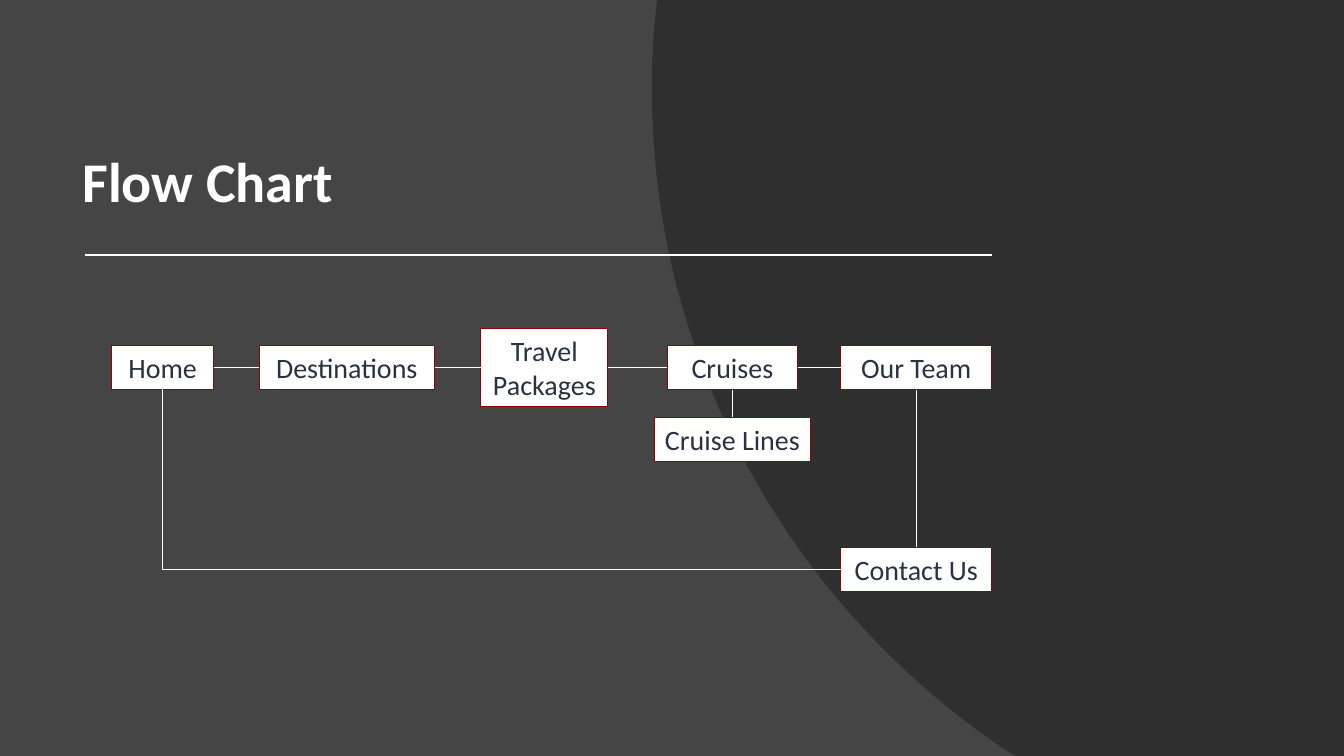
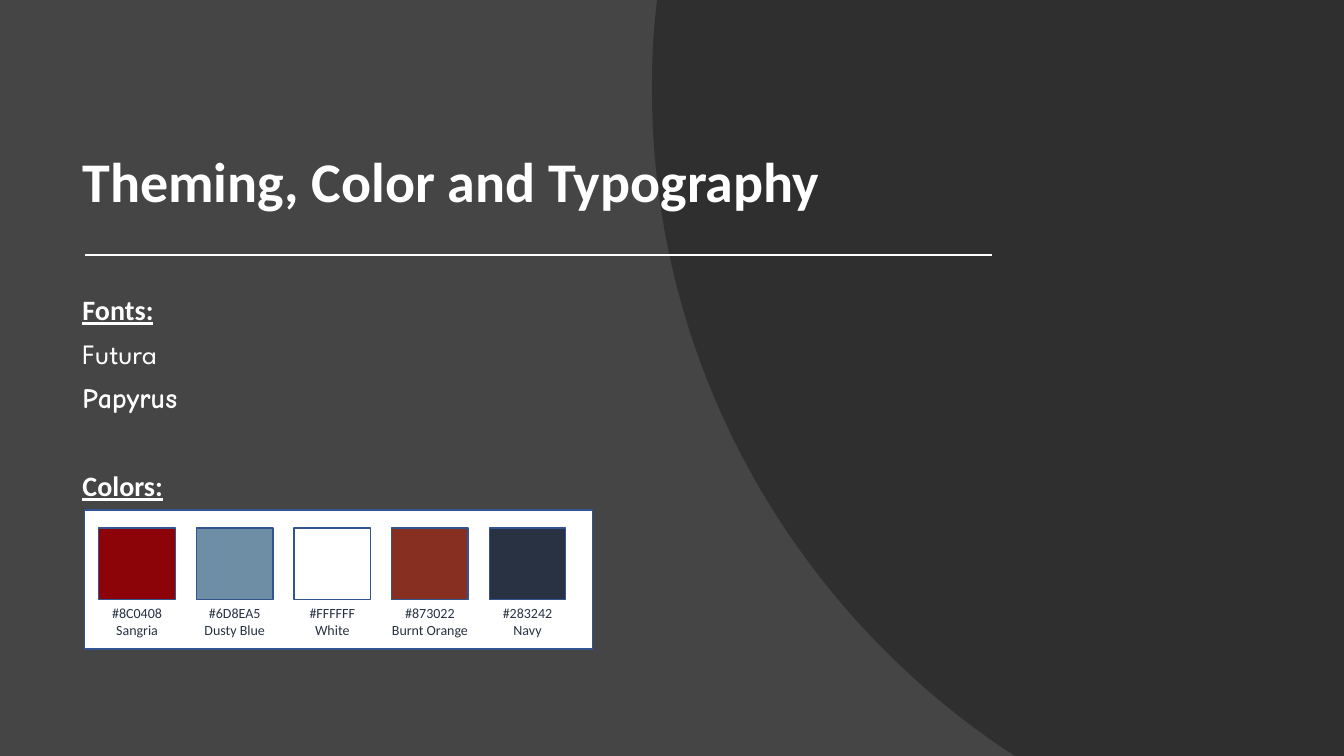
from lxml.etree import SubElement
from pptx import Presentation
from pptx.dml.color import RGBColor
from pptx.enum.shapes import MSO_CONNECTOR as CONNECTOR, MSO_SHAPE as SHAPE
from pptx.enum.text import MSO_ANCHOR as ANCHOR, PP_ALIGN as ALIGN
from pptx.oxml.ns import qn
from pptx.util import Cm, Pt

WHITE = RGBColor(0xFF, 0xFF, 0xFF)
CHARCOAL = RGBColor(0x45, 0x45, 0x45)
SHADE = RGBColor(0x26, 0x26, 0x26)
SANGRIA = RGBColor(0x8C, 0x04, 0x08)
DUSTY_BLUE = RGBColor(0x6D, 0x8E, 0xA5)
BURNT_ORANGE = RGBColor(0x87, 0x30, 0x22)
NAVY = RGBColor(0x28, 0x32, 0x42)
OUTLINE = RGBColor(0x32, 0x54, 0x91)

FONT = "Calibri"
WIDTH, HEIGHT = 33.87, 19.05
TOP, LEFT, BOTTOM, RIGHT = range(4)

TITLE_FORMAT = {"name": FONT, "size": Pt(40), "bold": True}
HEADING_FORMAT = {"name": FONT, "size": Pt(20), "bold": True, "underline": True}
NODE_FORMAT = {"name": FONT, "size": Pt(20)}
LABEL_FORMAT = {"name": FONT, "size": Pt(10)}

ARC_CURVES = [
    ((25.27, 18.85), (19.94, 15.24), (16.43, 9.14), (16.43, 2.24)),
    ((16.43, 2.24), (16.43, 1.55), (16.46, 0.86), (16.54, 0.18)),
]

ROW = 9.26
NODES = {
    "Home": (4.1, ROW, 2.57, 1.11),
    "Destinations": (8.74, ROW, 4.42, 1.11),
    "Travel Packages": (13.72, ROW, 3.2, 1.97),
    "Cruises": (18.46, ROW, 3.28, 1.11),
    "Our Team": (23.09, ROW, 3.81, 1.11),
    "Cruise Lines": (18.46, 11.07, 3.94, 1.11),
    "Contact Us": (23.09, 14.35, 3.81, 1.11),
}
LINKS = [
    ("Home", RIGHT, "Destinations", LEFT),
    ("Destinations", RIGHT, "Travel Packages", LEFT),
    ("Travel Packages", RIGHT, "Cruises", LEFT),
    ("Cruises", RIGHT, "Our Team", LEFT),
    ("Cruises", BOTTOM, "Cruise Lines", TOP),
    ("Contact Us", TOP, "Our Team", BOTTOM),
]

SWATCHES = [
    (SANGRIA, "Sangria"),
    (DUSTY_BLUE, "Dusty Blue"),
    (WHITE, "White"),
    (BURNT_ORANGE, "Burnt Orange"),
    (NAVY, "Navy"),
]
BODY_LINES = [
    ("Fonts:", HEADING_FORMAT, 0),
    ("Futura", {"name": "League Spartan", "size": Pt(20)}, 10),
    ("Papyrus", {"name": "Comic Neue", "size": Pt(20), "bold": True}, 10),
    ("Colors:", HEADING_FORMAT, 41),
]


def lengths(*values):
    return [Cm(value) for value in values]


def write(paragraph, text, font_format, color, **layout):
    run = paragraph.add_run()
    run.text = text
    run.font.color.rgb = color
    for name, value in font_format.items():
        setattr(run.font, name, value)
    for name, value in layout.items():
        setattr(paragraph, name, value)


def add_text(slide, box, lines, color, anchor=ANCHOR.TOP, **layout):
    frame = slide.shapes.add_textbox(*lengths(*box)).text_frame
    frame.word_wrap = True
    frame.vertical_anchor = anchor
    for index, (text, font_format, before) in enumerate(lines):
        paragraph = frame.add_paragraph() if index else frame.paragraphs[0]
        write(paragraph, text, font_format, color, space_before=Pt(before), **layout)


def add_box(slide, box, fill, line, line_width):
    shape = slide.shapes.add_shape(SHAPE.RECTANGLE, *lengths(*box))
    shape.shadow.inherit = False
    shape.fill.solid()
    shape.fill.fore_color.rgb = fill
    shape.line.color.rgb = line
    shape.line.width = Pt(line_width)
    return shape


def add_node(slide, text, center_x, center_y, width, height):
    box = (center_x - width / 2, center_y - height / 2, width, height)
    shape = add_box(slide, box, WHITE, SANGRIA, 0.75)
    frame = shape.text_frame
    frame.word_wrap = True
    frame.vertical_anchor = ANCHOR.MIDDLE
    frame.margin_left = frame.margin_right = Cm(0.1)
    write(frame.paragraphs[0], text, NODE_FORMAT, NAVY, alignment=ALIGN.CENTER)
    return shape


def add_line(slide, ends=(0, 0, 0, 0), width=0.5, kind=CONNECTOR.STRAIGHT):
    connector = slide.shapes.add_connector(kind, *lengths(*ends))
    connector.line.color.rgb = WHITE
    connector.line.width = Pt(width)
    SubElement(connector._element.spPr, qn("a:effectLst"))
    return connector


def link(slide, begin, begin_side, end, end_side, kind=CONNECTOR.STRAIGHT):
    connector = add_line(slide, kind=kind)
    connector.begin_connect(begin, begin_side)
    connector.end_connect(end, end_side)
    return connector


def curve_points(start, control_1, control_2, end, steps=40):
    for step in range(steps + 1):
        t = step / steps
        weights = ((1 - t) ** 3, 3 * t * (1 - t) ** 2, 3 * t**2 * (1 - t), t**3)
        yield tuple(
            Cm(sum(weight * value for weight, value in zip(weights, values)))
            for values in zip(start, control_1, control_2, end)
        )


def add_arc(slide):
    builder = slide.shapes.build_freeform(Cm(16.56), 0)
    corners = [(WIDTH, 0), (WIDTH, HEIGHT), (25.58, HEIGHT)]
    points = [tuple(lengths(*corner)) for corner in corners]
    for curve in ARC_CURVES:
        points.extend(curve_points(*curve))
    builder.add_line_segments(points, close=True)
    arc = builder.convert_to_shape()
    arc.shadow.inherit = False
    arc.fill.solid()
    arc.fill.fore_color.rgb = SHADE
    color = arc._element.spPr.find(qn("a:solidFill"))[0]
    SubElement(color, qn("a:alpha"), val="70000")
    arc.line.fill.background()


def add_slide(presentation, title):
    slide = presentation.slides.add_slide(presentation.slide_layouts[6])
    slide.background.fill.solid()
    slide.background.fill.fore_color.rgb = CHARCOAL
    add_arc(slide)
    add_text(slide, (1.83, 1.02, 25.04, 4.52), [(title, TITLE_FORMAT, 0)], WHITE,
             ANCHOR.BOTTOM, line_spacing=0.9)
    add_line(slide, (2.13, 6.43, 24.99, 6.43), 1.5)
    return slide


def add_flow_chart(slide):
    nodes = {text: add_node(slide, text, *box) for text, box in NODES.items()}
    for begin, begin_side, end, end_side in LINKS:
        link(slide, nodes[begin], begin_side, nodes[end], end_side)
    bent = link(slide, nodes["Contact Us"], LEFT, nodes["Home"], BOTTOM, CONNECTOR.ELBOW)
    bent._element.spPr.find(qn("a:prstGeom")).set("prst", "bentConnector2")


def add_palette(slide):
    add_box(slide, (2.13, 12.85, 12.8, 3.51), WHITE, OUTLINE, 1)
    size, step, label_width = 1.93, 2.46, 2.54
    for index, (color, name) in enumerate(SWATCHES):
        left = 2.49 + index * step
        add_box(slide, (left, 13.31, size, 1.8), color, OUTLINE, 1)
        label_left = left + (size - label_width) / 2
        lines = [(f"#{color}", LABEL_FORMAT, 0), (name, LABEL_FORMAT, 0)]
        add_text(slide, (label_left, 15.11, label_width, 1.12), lines, NAVY,
                 alignment=ALIGN.CENTER)


def main():
    presentation = Presentation()
    presentation.slide_width, presentation.slide_height = lengths(WIDTH, HEIGHT)

    add_flow_chart(add_slide(presentation, "Flow Chart"))

    theming = add_slide(presentation, "Theming, Color and Typography")
    add_text(theming, (1.83, 7.34, 25.04, 9.25), BODY_LINES, WHITE, line_spacing=0.9)
    add_palette(theming)

    presentation.save("out.pptx")


if __name__ == "__main__":
    main()
